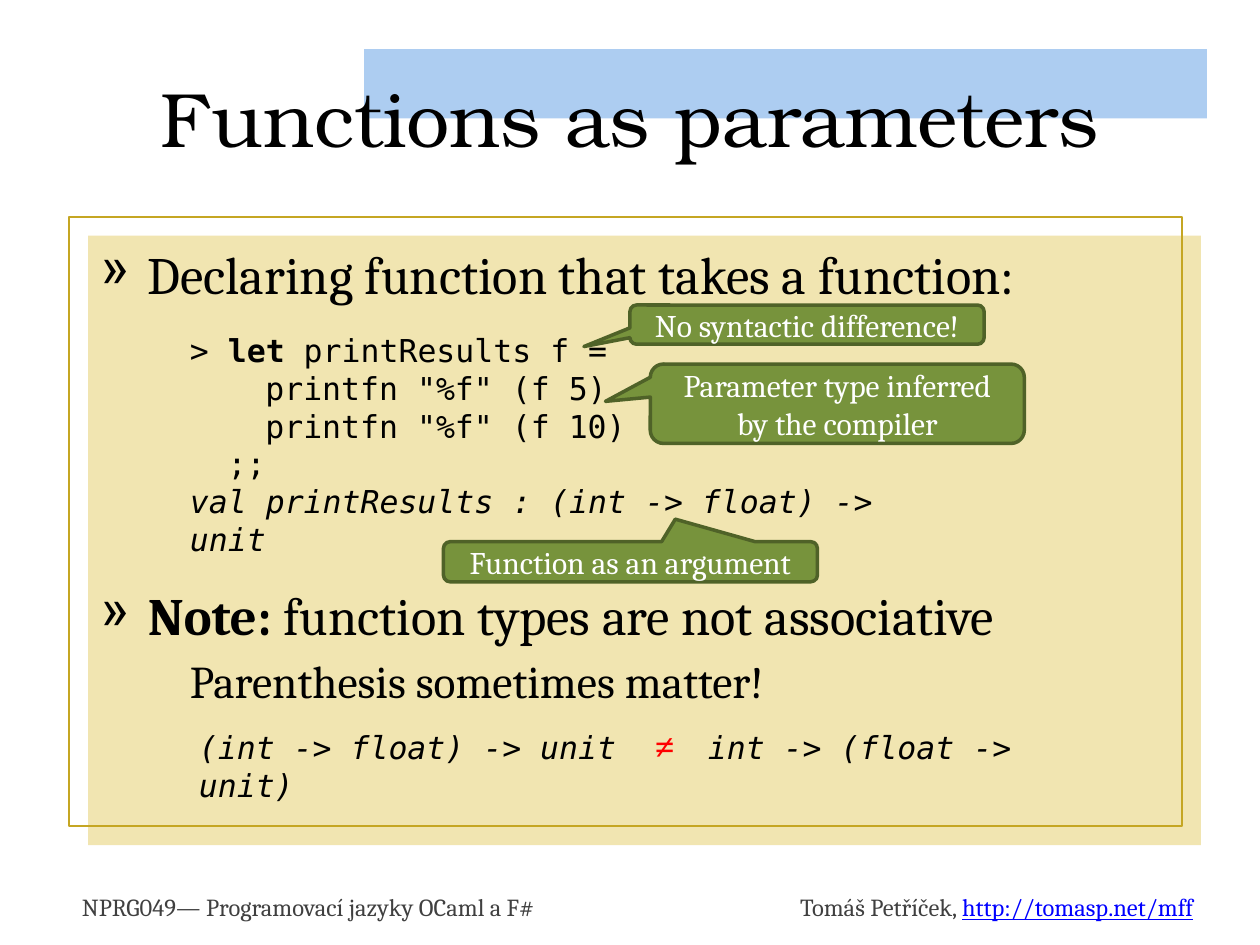
import dataclasses
import pptx
import pptx.dml.color
import pptx.enum.shapes
import pptx.enum.text
import pptx.util
from lxml import etree
from pptx.oxml.ns import qn

Cm = pptx.util.Cm
Pt = pptx.util.Pt
RGB = pptx.dml.color.RGBColor.from_string
MSO = pptx.enum.shapes.MSO_SHAPE
ALIGN = pptx.enum.text.PP_ALIGN
MIDDLE = pptx.enum.text.MSO_ANCHOR.MIDDLE


@dataclasses.dataclass(frozen=True)
class Theme:
    sans: str = "Cambria"
    mono: str = "DejaVu Sans Mono"
    display: str = "TeX Gyre Bonum"
    symbol: str = "Times New Roman"
    ink: str = "000000"
    white: str = "FFFFFF"
    grey: str = "404040"
    link: str = "0000FF"
    red: str = "FF0000"
    band: str = "ADCDF1"
    panel: str = "F1E5B1"
    frame: str = "C5A623"
    callout: str = "77933C"
    callout_edge: str = "4F6228"
    title: int = 44
    body: int = 30
    sub: int = 26
    sign: int = 20
    code: int = 18
    footer: int = 14


theme = Theme()
prs = pptx.Presentation()
prs.slide_width, prs.slide_height = Cm(25.4), Cm(19.05)
s = prs.slides.add_slide(prs.slide_layouts[6])


def add_box(box, kind=None, fill=None, line=None, weight=0):
    place = [Cm(v) for v in box]
    if kind is None:
        sp = s.shapes.add_textbox(*place)
    else:
        sp = s.shapes.add_shape(kind, *place)
        sp.shadow.inherit = False
        if fill:
            sp.fill.solid()
            sp.fill.fore_color.rgb = RGB(fill)
        else:
            sp.fill.background()
        if line:
            sp.line.color.rgb = RGB(line)
            sp.line.width = Pt(weight)
        else:
            sp.line.fill.background()
    sp.text_frame.word_wrap = True
    return sp


def add_text(tf, runs, font, size, color, align=ALIGN.LEFT):
    p = tf.paragraphs[0]
    if p.runs:
        p = tf.add_paragraph()
    p.alignment = align
    p.font.name, p.font.size, p.font.color.rgb = font, Pt(size), RGB(color)
    for text in runs:
        p.add_run().text = text
    return p


panel_w, panel_h = 22.43, 12.29
add_box((7.34, 0.99, 16.99, 1.4), MSO.RECTANGLE, theme.band)
add_box((1.78, 4.75, panel_w, panel_h), MSO.RECTANGLE, theme.panel)
add_box((1.4, 4.37, panel_w, panel_h), MSO.RECTANGLE, None, theme.frame, 1.25)

footers = [
    (1.4, ["NPRG049— Programovací jazyky OCaml a F#"], ALIGN.LEFT),
    (13.01, ["Tomáš Petříček, ", "http://tomasp.net/mff"], ALIGN.RIGHT),
]
for left, runs, align in footers:
    tf = add_box((left, 17.86, 11.3, 0.86)).text_frame
    p = add_text(tf, runs, theme.sans, theme.footer, theme.grey, align)
r = p.runs[-1]
r.font.color.rgb = RGB(theme.link)
r.font.underline = True

tf = add_box((1.27, 0.76, 22.86, 3.18)).text_frame
tf.vertical_anchor = MIDDLE
add_text(tf, ["Functions as parameters"], theme.display, theme.title, theme.ink, ALIGN.CENTER)

tf = add_box((1.78, 4.75, 22.35, 12.24)).text_frame
points = [
    (["Declaring function that takes a function:"], 0),
    (["Note: ", "function types are not associative"], 159),
]
for runs, before in points:
    p = add_text(tf, runs, theme.sans, theme.body, theme.ink)
    p.space_before = Pt(before)
    pPr = p._p.get_or_add_pPr()
    pPr.set("marL", str(Cm(0.95)))
    pPr.set("indent", str(Cm(-0.95)))
    bullet = etree.Element(qn("a:buChar"), char="»")
    pPr.find(qn("a:defRPr")).addprevious(bullet)
p.runs[0].font.bold = True
p = add_text(tf, ["Parenthesis sometimes matter!"], theme.sans, theme.sub, theme.ink)
p.space_before = p.space_after = Pt(4)
p._p.get_or_add_pPr().set("marL", str(Cm(1.8)))

char_w = 0.38
code = [
    (["> ", "let ", "printResults f ="], 0),
    (['printfn "%f" (f 5)'], 4),
    (['printfn "%f" (f 10)'], 4),
    ([";;"], 2),
    (["val printResults : (int -> float) -> unit"], 0),
]
tf = add_box((3.58, 6.55, 16.08, 4.11)).text_frame
for runs, depth in code:
    p = add_text(tf, runs, theme.mono, theme.code, theme.ink)
    p._p.get_or_add_pPr().set("marL", str(Cm(depth * char_w)))
tf.paragraphs[0].runs[1].font.bold = True
p.font.italic = True

tf = add_box((3.76, 14.48, 18.85, 1.12)).text_frame
runs = ["(int -> float) -> unit", "\t≠", "\tint -> (float -> unit)"]
p = add_text(tf, runs, theme.mono, theme.code, theme.ink)
tabs = etree.Element(qn("a:tabLst"))
for stop in (9.2, 10.26):
    etree.SubElement(tabs, qn("a:tab"), pos=str(Cm(stop)), algn="l")
p._p.get_or_add_pPr().find(qn("a:defRPr")).addprevious(tabs)
left, sign, right = p.runs
left.font.italic = right.font.italic = True
sign.font.name, sign.font.size = theme.symbol, Pt(theme.sign)
sign.font.bold = True
sign.font.color.rgb = RGB(theme.red)

callouts = [
    ("No syntactic difference!", (12.7, 6.15, 7.14, 0.79), (-0.63, 0.56)),
    ("Parameter type inferred by the compiler", (13.11, 7.34, 7.54, 1.6), (-0.62, -0.03)),
    ("Function as an argument", (8.94, 10.92, 7.54, 0.81), (0.12, -1.06)),
]
for text, box, tip in callouts:
    sp = add_box(box, MSO.ROUNDED_RECTANGULAR_CALLOUT, theme.callout, theme.callout_edge, 2)
    sp.adjustments[0], sp.adjustments[1] = tip
    sp.text_frame.vertical_anchor = MIDDLE
    add_text(sp.text_frame, [text], theme.sans, theme.code, theme.white, ALIGN.CENTER)

prs.save("out.pptx")
